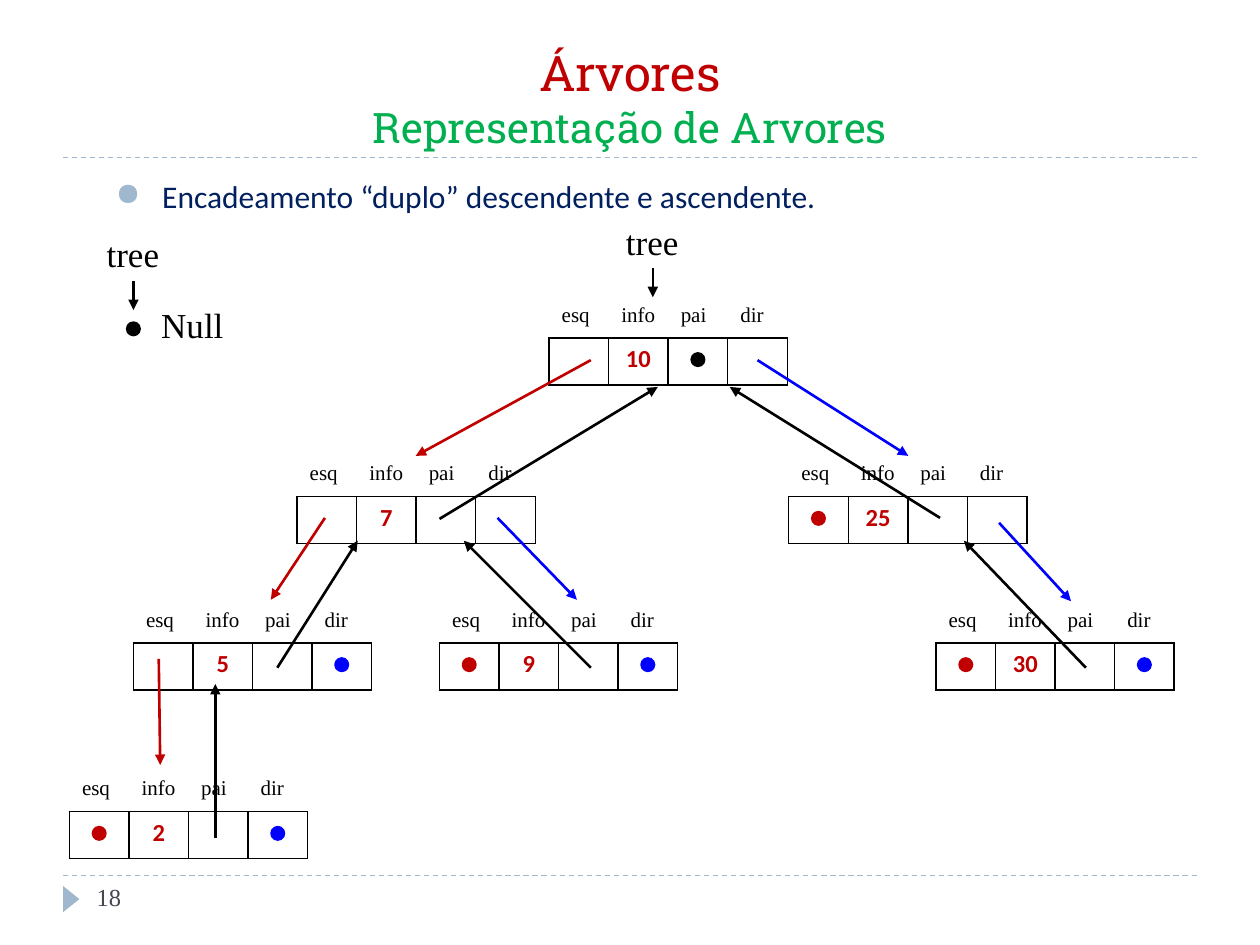
from lxml.etree import SubElement
from pptx import Presentation
from pptx.dml.color import RGBColor
from pptx.enum.dml import MSO_LINE_DASH_STYLE as Dash
from pptx.enum.shapes import MSO_CONNECTOR as Connector, MSO_SHAPE as Shape
from pptx.enum.text import MSO_ANCHOR as Anchor, MSO_AUTO_SIZE as AutoSize, PP_ALIGN as Align
from pptx.oxml.ns import qn
from pptx.util import Cm, Pt

BLACK, WHITE, RED, BLUE = "000000", "FFFFFF", "C00000", "0000FF"
GREEN, NAVY, ACCENT, GREY = "00B050", "002060", "9FB8CD", "464653"
FIELDS = ["esq", "info", "pai", "dir"]
CELL_WIDTH, LABEL_HEIGHT, BOX_HEIGHT, DOT_SIZE = 1.2, 0.82, 0.95, 0.25
DOT_OFFSET = 1.26

NODES = [
    ("2", 1.4, 15.54, {"esq": RED, "dir": BLUE}),
    ("5", 2.69, 12.14, {"dir": BLUE}),
    ("9", 8.86, 12.14, {"esq": RED, "dir": BLUE}),
    ("30", 18.87, 12.14, {"esq": RED, "dir": BLUE}),
    ("7", 5.99, 9.19, {}),
    ("25", 15.9, 9.19, {"esq": RED}),
    ("10", 11.07, 5.99, {"pai": BLACK}),
]

POINTERS = {
    RED: [
        (11.91, 7.26, 8.38, 9.19),
        (6.55, 10.44, 5.46, 12.09),
        (3.2, 13.28, 3.23, 15.42),
    ],
    BLUE: [
        (15.27, 7.26, 18.31, 9.19),
        (10.03, 10.44, 11.63, 12.09),
        (20.14, 10.54, 21.59, 12.12),
    ],
    BLACK: [
        (13.16, 5.41, 13.16, 5.99),
        (2.69, 5.66, 2.69, 6.25),
        (8.86, 10.46, 13.26, 7.8),
        (18.95, 10.44, 14.71, 7.8),
        (21.89, 13.46, 19.43, 10.9),
        (11.91, 13.46, 9.35, 10.9),
        (5.59, 13.46, 7.21, 10.9),
        (4.34, 16.89, 4.34, 13.79),
    ],
}


def color(value):
    return RGBColor.from_string(value)


def write(paragraph, text, size=20, font="Times New Roman", fill=BLACK, bold=False, align=None):
    run = paragraph.add_run()
    run.text = text
    run.font.size = Pt(size)
    run.font.name = font
    run.font.bold = bold
    run.font.color.rgb = color(fill)
    if align is not None:
        paragraph.alignment = align


def add_border(cell, sides):
    properties = cell._tc.get_or_add_tcPr()
    for position, side in enumerate(sides):
        border = properties.makeelement(qn(f"a:ln{side}"), {"w": str(Pt(1))})
        fill = SubElement(border, qn("a:solidFill"))
        SubElement(fill, qn("a:srgbClr"), val=BLACK)
        properties.insert(position, border)


class TreeSlide:
    def __init__(self, deck):
        self.slide = deck.slides.add_slide(deck.slide_layouts[5])
        self.shapes = self.slide.shapes
        self.line_width = Pt(1.5)

    def title(self, heading, subheading):
        title = self.shapes.title
        title.left, title.top, title.width, title.height = Cm(1.27), Cm(0.64), Cm(22.86), Cm(2.54)
        frame = title.text_frame
        frame.auto_size = AutoSize.NONE
        frame.vertical_anchor = Anchor.BOTTOM
        paragraph = frame.paragraphs[0]
        write(paragraph, heading, size=28, font="Roboto Slab", fill=RED, align=Align.CENTER)
        paragraph.add_line_break()
        write(paragraph, subheading, size=24, font="Roboto Slab", fill=GREEN)

    def text(self, text, left, top, width, height, **style):
        frame = self.shapes.add_textbox(Cm(left), Cm(top), Cm(width), Cm(height)).text_frame
        frame.word_wrap = True
        write(frame.paragraphs[0], text, **style)
        return frame.paragraphs[0]

    def bullet(self, text, *place, **style):
        properties = self.text(text, *place, **style)._p.get_or_add_pPr()
        properties.set("marL", str(Cm(0.94)))
        properties.set("indent", str(-Cm(0.94)))
        SubElement(SubElement(properties, qn("a:buClr")), qn("a:srgbClr"), val=ACCENT)
        SubElement(properties, qn("a:buChar"), char="●")

    def line(self, x1, y1, x2, y2, stroke):
        line = self.shapes.add_connector(Connector.STRAIGHT, Cm(x1), Cm(y1), Cm(x2), Cm(y2))
        line.line.color.rgb = color(stroke)
        line.line.width = self.line_width
        SubElement(line._element.spPr, qn("a:effectLst"))
        return line

    def rule(self, y):
        rule = self.line(1.27, y, 24.13, y, ACCENT)
        rule.line.width = Pt(0.75)
        rule.line.dash_style = Dash.DASH

    def arrow(self, *ends, stroke):
        arrow = self.line(*ends, stroke)
        SubElement(arrow.line._get_or_add_ln(), qn("a:tailEnd"), type="triangle")

    def solid(self, kind, left, top, width, height, fill):
        solid = self.shapes.add_shape(kind, Cm(left), Cm(top), Cm(width), Cm(height))
        solid.shadow.inherit = False
        solid.fill.solid()
        solid.fill.fore_color.rgb = color(fill)
        solid.line.fill.background()
        return solid

    def dot(self, x, y, fill):
        radius = DOT_SIZE / 2
        dot = self.solid(Shape.OVAL, x - radius, y - radius, DOT_SIZE, DOT_SIZE, fill)
        dot.line.color.rgb = color(fill)
        dot.line.width = self.line_width

    def marker(self):
        self.solid(Shape.ISOSCELES_TRIANGLE, 1.17, 17.96, 0.53, 0.33, ACCENT).rotation = 90

    def node(self, key, left, top):
        table = self.shapes.add_table(
            2, len(FIELDS), Cm(left), Cm(top),
            Cm(CELL_WIDTH * len(FIELDS)), Cm(LABEL_HEIGHT + BOX_HEIGHT),
        ).table
        table.first_row = table.horz_banding = False
        table.rows[0].height, table.rows[1].height = Cm(LABEL_HEIGHT), Cm(BOX_HEIGHT)
        for column, field in enumerate(FIELDS):
            table.columns[column].width = Cm(CELL_WIDTH)
            label, box = table.cell(0, column), table.cell(1, column)
            label.fill.background()
            write(label.text_frame.paragraphs[0], field, size=12)
            add_border(label, "B")
            box.fill.solid()
            box.fill.fore_color.rgb = color(WHITE)
            add_border(box, "LRTB")
            if field == "info":
                write(box.text_frame.paragraphs[0], key, size=14, font="Calibri",
                      fill=RED, bold=True, align=Align.CENTER)
            else:
                box.margin_top = box.margin_bottom = 0

    def null_links(self, left, top, links):
        for field, fill in links.items():
            self.dot(left + CELL_WIDTH * (FIELDS.index(field) + 0.5), top + DOT_OFFSET, fill)


def main():
    deck = Presentation()
    deck.slide_width, deck.slide_height = Cm(25.4), Cm(19.05)
    tree = TreeSlide(deck)
    tree.rule(17.65)
    tree.rule(3.18)
    tree.marker()
    tree.title("Árvores", "Representação de Arvores")
    tree.text("18", 1.7, 17.65, 5.51, 1.02, size=14, fill=GREY)
    for key, left, top, links in NODES:
        tree.node(key, left, top)
        tree.null_links(left, top, links)
    for stroke, pointers in POINTERS.items():
        for ends in pointers:
            tree.arrow(*ends, stroke=stroke)
    tree.text("tree", 12.37, 4.32, 1.6, 1.12)
    tree.text("tree", 1.9, 4.57, 1.6, 1.12)
    tree.dot(2.69, 6.63, BLACK)
    tree.text("Null", 3, 5.99, 1.8, 1.12)
    tree.bullet("Encadeamento “duplo” descendente e ascendente.", 2.08, 3.45, 21.59, 1.12,
                size=18, font="Calibri", fill=NAVY, align=Align.JUSTIFY)
    deck.save("out.pptx")


if __name__ == "__main__":
    main()
